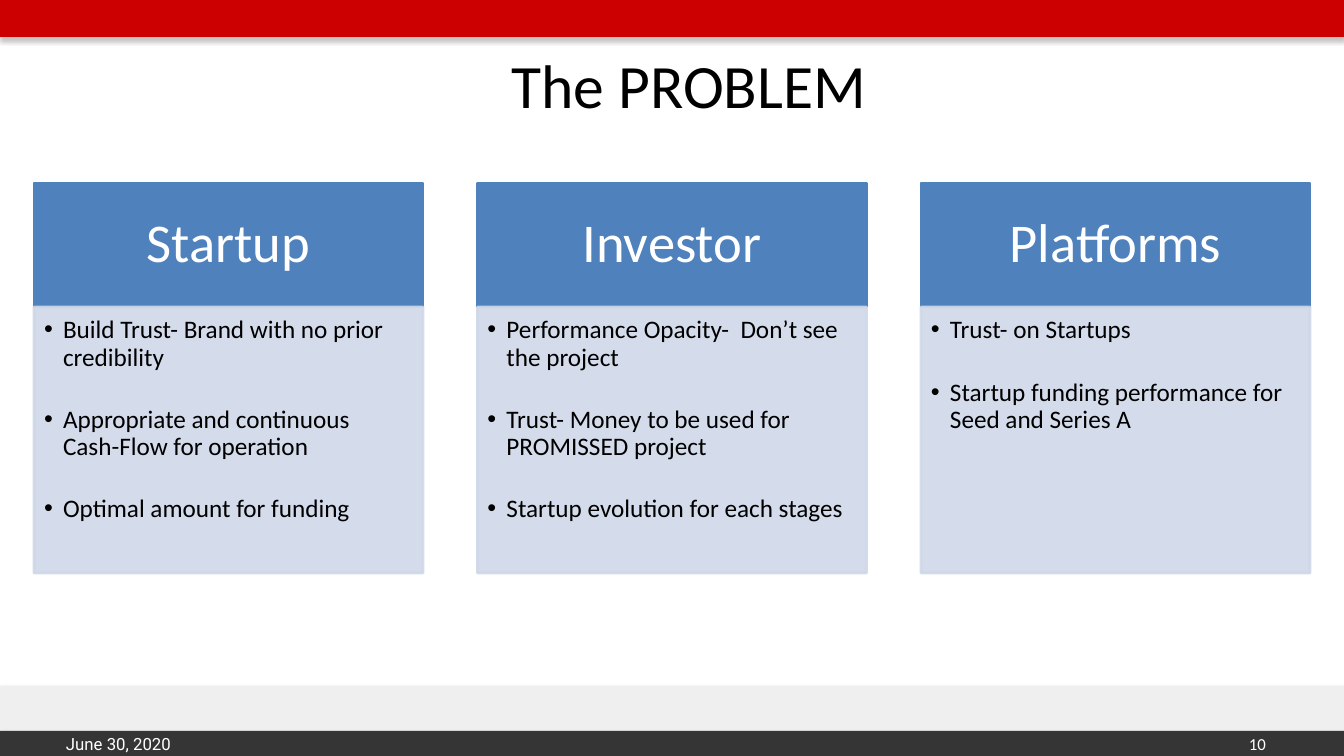
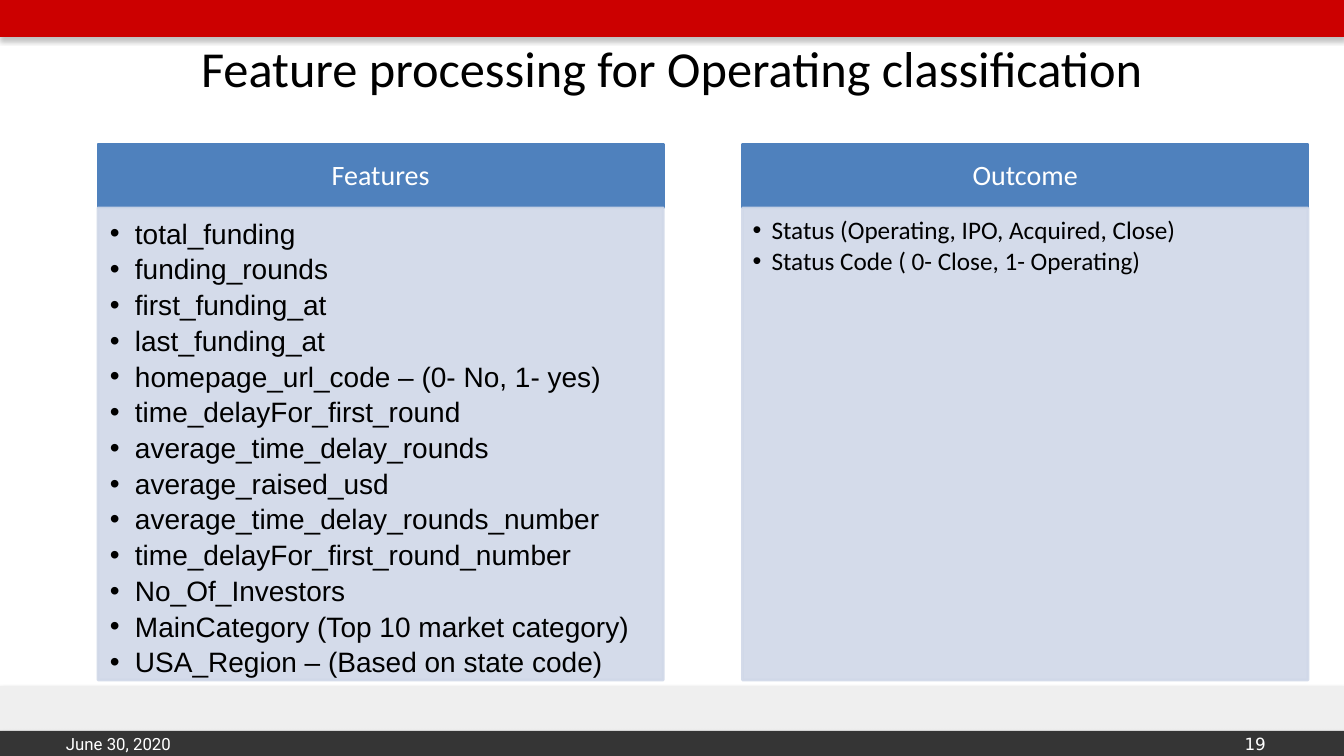
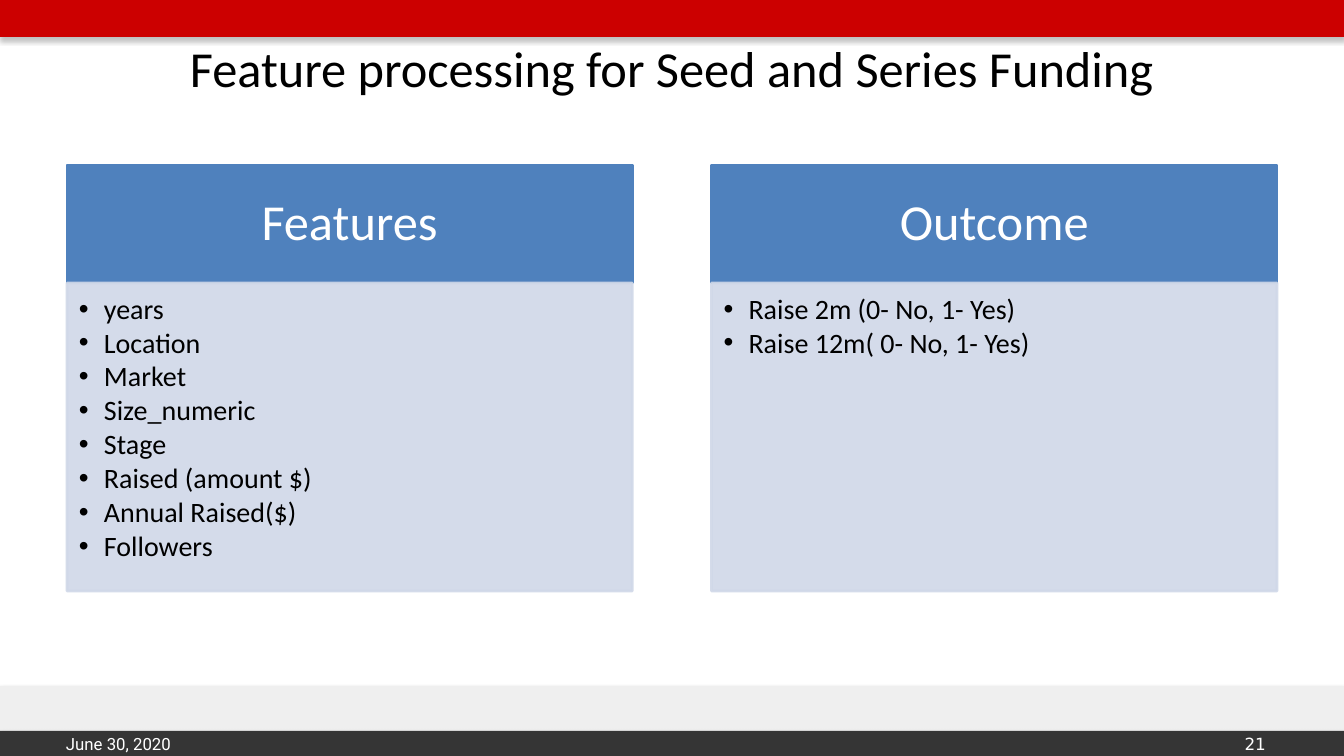
from pptx import Presentation
from pptx.dml.color import RGBColor
from pptx.enum.shapes import MSO_SHAPE
from pptx.enum.text import MSO_ANCHOR, MSO_AUTO_SIZE, PP_ALIGN
from pptx.oxml import parse_xml
from pptx.oxml.ns import nsdecls, qn
from pptx.util import Pt

RECTANGLE = MSO_SHAPE.RECTANGLE
TOP, MIDDLE = MSO_ANCHOR.TOP, MSO_ANCHOR.MIDDLE
LEFT, CENTER, RIGHT = PP_ALIGN.LEFT, PP_ALIGN.CENTER, PP_ALIGN.RIGHT
NO_AUTOFIT = MSO_AUTO_SIZE.NONE

RED = RGBColor(0xCC, 0x00, 0x00)
CHARCOAL = RGBColor(0x35, 0x35, 0x35)
PALE_GREY = RGBColor(0xEF, 0xEF, 0xEF)
BLUE = RGBColor(0x4F, 0x81, 0xBD)
PALE_BLUE = RGBColor(0xD0, 0xD8, 0xE8)
WHITE = RGBColor(0xFF, 0xFF, 0xFF)
BLACK = RGBColor(0x00, 0x00, 0x00)

PX_PER_INCH = 100.8
SLIDE_WIDTH, SLIDE_HEIGHT = 1344, 756
COLUMN_GAP_RATIO = 0.14
BODY_INSETS = {18: (10, 10, 14, 16), 20: (12, 12, 16, 17)}
BODY_INDENT = {18: 19, 20: 25}
BANDS = [(686, 45, PALE_GREY), (731, 25, CHARCOAL), (0, 37, RED)]

SLIDES = [
    dict(
        title="The PROBLEM", title_box=(84, 39, 1210, 89), title_size=44,
        number="10", number_font="Calibri",
        box=(34, 183, 1276, 390), head_height=124, head_size=39,
        columns=[
            dict(head="Startup", gap=25, items=[
                "Build Trust- Brand with no prior credibility",
                "Appropriate and continuous Cash-Flow for operation",
                "Optimal amount for funding"]),
            dict(head="Investor", gap=25, items=[
                "Performance Opacity-  Don’t see the project",
                "Trust- Money to be used for PROMISSED project",
                "Startup evolution for each stages"]),
            dict(head="Platforms", gap=25, items=[
                "Trust- on Startups",
                "Startup funding performance for Seed and Series A"]),
        ]),
    dict(
        title="Feature processing for Operating classification",
        number="19",
        box=(98, 144, 1210, 536), head_height=64, head_size=20,
        columns=[
            dict(head="Features", size=20, font="Arial", gap=3.9, items=[
                "total_funding",
                "funding_rounds",
                "first_funding_at",
                "last_funding_at",
                "homepage_url_code – (0- No, 1- yes)",
                "time_delayFor_first_round",
                "average_time_delay_rounds",
                "average_raised_usd",
                "average_time_delay_rounds_number",
                "time_delayFor_first_round_number",
                "No_Of_Investors",
                "MainCategory (Top 10 market category)",
                "USA_Region – (Based on state code)"]),
            dict(head="Outcome", gap=2.4, items=[
                "Status (Operating, IPO, Acquired, Close)",
                "Status Code ( 0- Close, 1- Operating)"]),
        ]),
    dict(
        title="Feature processing for Seed and Series Funding",
        number="21",
        box=(67, 165, 1210, 426), head_height=118, head_size=36,
        columns=[
            dict(head="Features", size=20, gap=2.6, items=[
                "years", "Location", "Market", "Size_numeric", "Stage",
                "Raised (amount $)", "Annual Raised($)", "Followers"]),
            dict(head="Outcome", size=20, gap=2.6, items=[
                "Raise 2m (0- No, 1- Yes)",
                "Raise 12m( 0- No, 1- Yes)"]),
        ]),
]


def px(length):
    return round(length * 914400 / PX_PER_INCH)


def write(frame, *lines, size, color, font="Calibri", align=LEFT, anchor=MIDDLE,
          insets=(10, 5, 10, 5), line_spacing=1.0, gap=0, indent=0):
    frame.word_wrap = True
    frame.auto_size = NO_AUTOFIT
    frame.vertical_anchor = anchor
    (frame.margin_left, frame.margin_top,
     frame.margin_right, frame.margin_bottom) = map(px, insets)
    for index, line in enumerate(lines):
        paragraph = frame.add_paragraph() if index else frame.paragraphs[0]
        paragraph.alignment = align
        paragraph.line_spacing = line_spacing
        paragraph.space_before = Pt(0)
        paragraph.space_after = Pt(gap)
        run = paragraph.add_run()
        run.text = line
        run.font.size = Pt(size)
        run.font.name = font
        run.font.color.rgb = color
        if indent:
            properties = paragraph._p.get_or_add_pPr()
            properties.set("marL", str(px(indent)))
            properties.set("indent", str(-px(indent)))
            properties.append(parse_xml(
                f'<a:buFont {nsdecls("a")} typeface="Arial"/>'))
            properties.append(parse_xml(
                f'<a:buChar {nsdecls("a")} char="•"/>'))


def add_block(slide, box, color):
    block = slide.shapes.add_shape(RECTANGLE, *map(px, box))
    block.shadow.inherit = False
    block.fill.solid()
    block.fill.fore_color.rgb = color
    block.line.fill.background()
    return block


def outline(block, color):
    block.line.color.rgb = color
    block.line.width = Pt(2)


def add_label(slide, box, text, **style):
    label = slide.shapes.add_textbox(*map(px, box))
    write(label.text_frame, text, size=12, color=WHITE, **style)
    return label


def add_band(slide, top, height, color):
    band = add_block(slide, (0, top, SLIDE_WIDTH, height), color)
    band.element.spPr.find(qn("a:effectLst")).append(parse_xml(
        f'<a:outerShdw {nsdecls("a")} blurRad="50800" dist="25400" '
        'dir="5400000" algn="t" rotWithShape="0"><a:srgbClr val="666666">'
        '<a:alpha val="40000"/></a:srgbClr></a:outerShdw>'))
    return band


def furnish_layout(layout, slide):
    for placeholder in list(layout.placeholders)[1:]:
        layout.shapes.element.remove(placeholder.element)
    shared = [add_band(slide, *band) for band in BANDS]
    shared.append(add_label(slide, (56, 731, 335, 25), "June 30, 2020",
                            font="Roboto"))
    for part in shared:
        layout.shapes.element.append(part.element)


def add_column(slide, box, head_height, head_size, head, items, gap,
               size=18, font="Calibri"):
    left, top, width, height = box
    heading = add_block(slide, (left, top, width, head_height), BLUE)
    outline(heading, BLUE)
    write(heading.text_frame, head, size=head_size, color=WHITE, align=CENTER,
          line_spacing=0.9)

    body = add_block(slide, (left, top + head_height, width,
                             height - head_height), PALE_BLUE)
    outline(body, PALE_BLUE)
    for tint in body.element.spPr.iter(qn("a:srgbClr")):
        tint.append(parse_xml(f'<a:alpha {nsdecls("a")} val="90000"/>'))
    write(body.text_frame, *items, size=size, color=BLACK, font=font,
          anchor=TOP, insets=BODY_INSETS[size], line_spacing=0.9, gap=gap,
          indent=BODY_INDENT[size])


def add_columns(slide, box, columns, head_height, head_size):
    left, top, total_width, height = box
    count = len(columns)
    width = total_width / (count + COLUMN_GAP_RATIO * (count - 1))
    pitch = width * (1 + COLUMN_GAP_RATIO)
    for index, column in enumerate(columns):
        add_column(slide, (left + index * pitch, top, width, height),
                   head_height, head_size, **column)


def fill_slide(slide, title, number, title_box=(67, 34, 1210, 66),
               title_size=36, number_font="DejaVu Sans", **column_set):
    heading = slide.shapes.title
    heading.left, heading.top, heading.width, heading.height = map(px, title_box)
    write(heading.text_frame, title, size=title_size, color=BLACK, align=CENTER)
    add_label(slide, (1116, 731, 160, 25), number, font=number_font, align=RIGHT)
    add_columns(slide, **column_set)


def main():
    deck = Presentation()
    deck.slide_width, deck.slide_height = px(SLIDE_WIDTH), px(SLIDE_HEIGHT)
    title_only = deck.slide_layouts[5]
    slides = [deck.slides.add_slide(title_only) for _ in SLIDES]
    furnish_layout(title_only, slides[0])
    for slide, content in zip(slides, SLIDES):
        fill_slide(slide, **content)
    deck.save("out.pptx")


if __name__ == "__main__":
    main()
